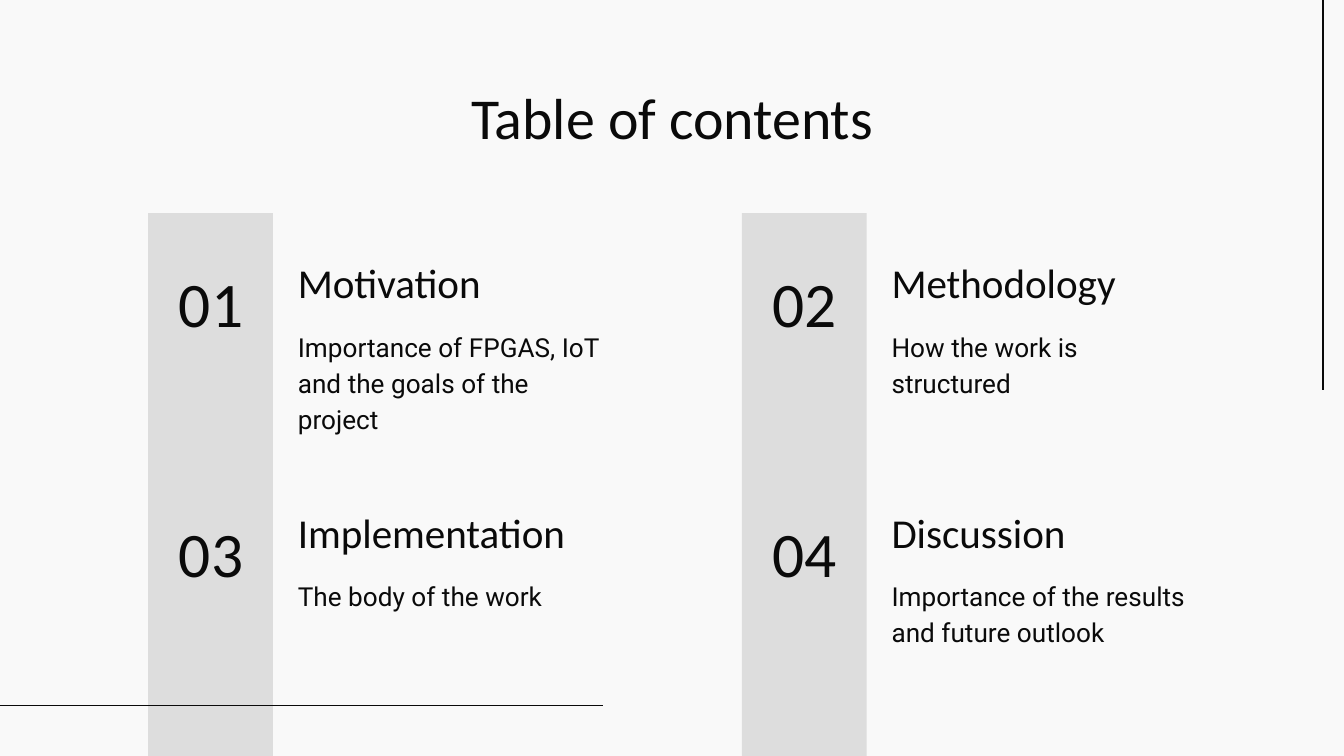
from lxml import etree
from pptx import Presentation
from pptx.dml.color import RGBColor
from pptx.enum.shapes import MSO_CONNECTOR, MSO_SHAPE
from pptx.enum.text import MSO_ANCHOR, MSO_AUTO_SIZE, PP_ALIGN
from pptx.oxml.ns import qn
from pptx.util import Cm, Pt

TOP, MIDDLE, BOTTOM = MSO_ANCHOR.TOP, MSO_ANCHOR.MIDDLE, MSO_ANCHOR.BOTTOM
LEFT, CENTER = PP_ALIGN.LEFT, PP_ALIGN.CENTER
INK, PAPER, GREY = "0A0A0A", "F9F9F9", "DDDDDD"

TITLE = "Table of contents"
TOPICS = [
    ("Motivation", "Importance of FPGAS, IoT and the goals of the project"),
    ("Methodology", "How the work is structured"),
    ("Implementation", "The body of the work"),
    ("Discussion", "Importance of the results and future outlook"),
]

# Lengths in cm
WIDE, HIGH = 25.4, 14.29
COLS = 2
COL_STEP, ROW_STEP = 11.22, 4.72
BAR = (2.8, 4.03, 2.36, 10.26)
RULES = [(25, 7.37, 25, 0), (0, 13.33, 11.4, 13.33)]
TITLE_BOX = (1.98, 1.3, 21.44, 1.52)
NUM_BOX = (2.77, 4.11, 2.44, 3.2)
HEAD_BOX = (5.38, 3.81, 6.6, 2.24)
BODY_BOX = (5.38, 5.92, 6.35, 1.8)

TITLE_STYLE = {"size": Pt(31), "name": "Calibri"}
NUM_STYLE = {"size": Pt(34), "name": "Calibri"}
HEAD_STYLE = {"size": Pt(22), "name": "Calibri"}
BODY_STYLE = {"size": Pt(14), "name": "Roboto"}


def paint(color, code):
    color.rgb = RGBColor.from_string(code)


def place(box, col=0, row=0):
    """Lengths of a box moved to its grid cell."""
    x, y, w, h = box
    return [Cm(v) for v in (x + col * COL_STEP, y + row * ROW_STEP, w, h)]


def write(shape, text, style, anchor=TOP, align=LEFT, spacing=1.0):
    frame = shape.text_frame
    frame.word_wrap = True
    frame.auto_size = MSO_AUTO_SIZE.NONE
    frame.vertical_anchor = anchor
    for side in ("left", "right", "top", "bottom"):
        setattr(frame, f"margin_{side}", Cm(0.25))
    para = frame.paragraphs[0]
    para.text = text
    para.alignment = align
    para.line_spacing = spacing
    for key, value in style.items():
        setattr(para.font, key, value)
    paint(para.font.color, INK)


def add_bar(slide, col):
    bar = slide.shapes.add_shape(MSO_SHAPE.RECTANGLE, *place(BAR, col))
    bar.shadow.inherit = False
    bar.fill.solid()
    paint(bar.fill.fore_color, GREY)
    bar.line.fill.background()


def add_rule(slide, ends):
    rule = slide.shapes.add_connector(
        MSO_CONNECTOR.STRAIGHT, *(Cm(v) for v in ends))
    rule.line.width = Pt(0.75)
    paint(rule.line.color, INK)
    etree.SubElement(rule._element.spPr, qn("a:effectLst"))


def add_topic(slide, index, head, body):
    row, col = divmod(index, COLS)
    parts = [
        (NUM_BOX, f"{index + 1:02}", NUM_STYLE, MIDDLE, CENTER, 1.0),
        (HEAD_BOX, head, HEAD_STYLE, BOTTOM, LEFT, 1.0),
        (BODY_BOX, body, BODY_STYLE, TOP, LEFT, 1.15),
    ]
    for box, *args in parts:
        write(slide.shapes.add_textbox(*place(box, col, row)), *args)


def main():
    deck = Presentation()
    deck.slide_width, deck.slide_height = Cm(WIDE), Cm(HIGH)
    slide = deck.slides.add_slide(deck.slide_layouts[5])
    slide.background.fill.solid()
    paint(slide.background.fill.fore_color, PAPER)

    title = slide.shapes.title
    title.left, title.top, title.width, title.height = place(TITLE_BOX)
    write(title, TITLE, TITLE_STYLE, align=CENTER)

    for col in range(COLS):
        add_bar(slide, col)
    for ends in RULES:
        add_rule(slide, ends)
    for index, (head, body) in enumerate(TOPICS):
        add_topic(slide, index, head, body)

    deck.save("out.pptx")


if __name__ == "__main__":
    main()
